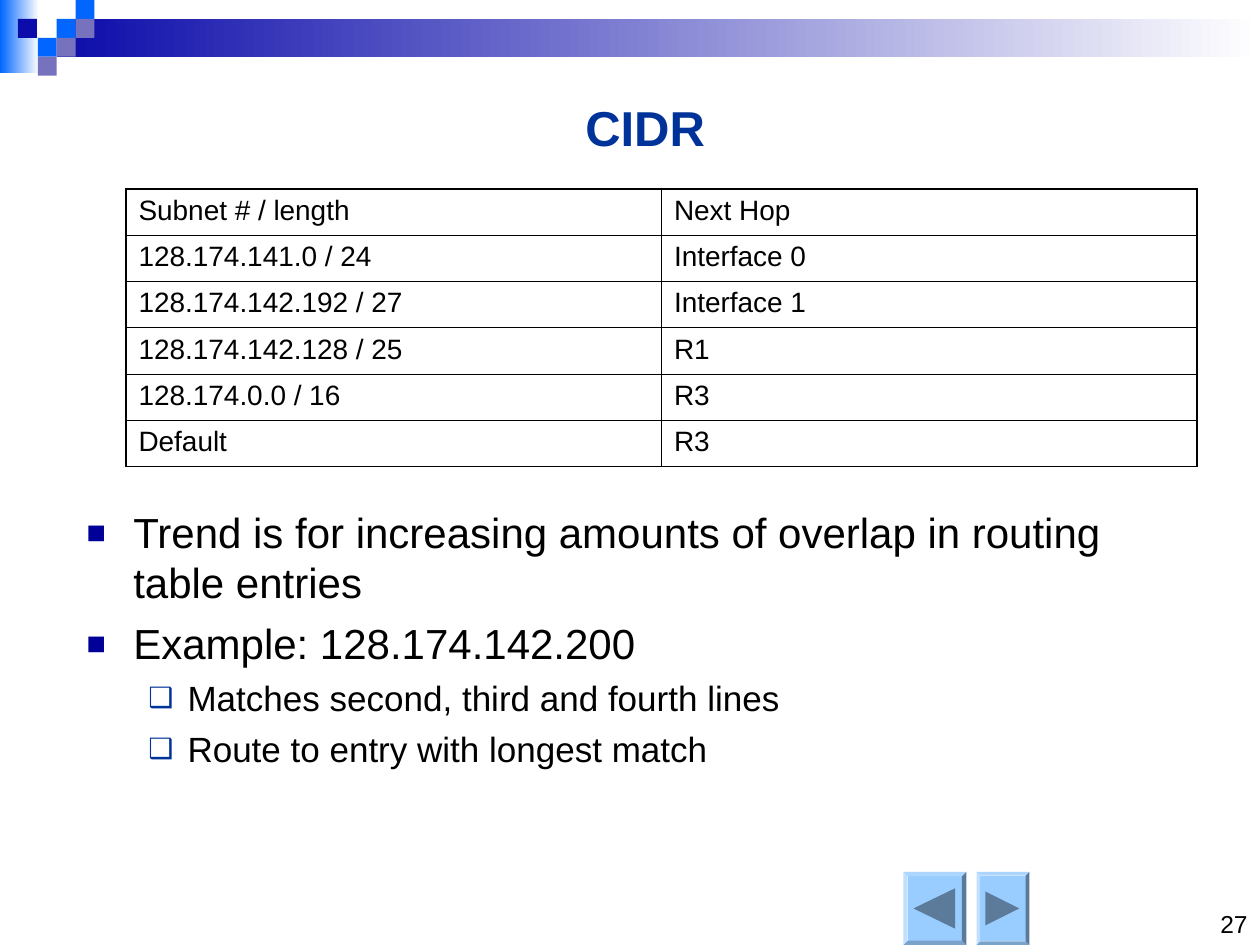
from lxml import etree
from pptx import Presentation
from pptx import util as u
from pptx.dml.color import RGBColor
from pptx.enum import shapes, text
from pptx.oxml.ns import qn

HUE = {"sky": "0066FF", "navy": "0C0CAA", "mauve": "7772BE", "white": "FFFFFF",
       "black": "000000", "title": "003399", "mark": "000099",
       "button": "99CCFF", "arrow": "5C7A99"}
HUE = {name: RGBColor.from_string(code) for name, code in HUE.items()}

deck = Presentation()
deck.slide_width, deck.slide_height = u.Inches(10), u.Inches(7.5)
slide = deck.slides.add_slide(deck.slide_layouts[5])


def block(kind, *box):
    part = slide.shapes.add_shape(kind, *map(u.Inches, box))
    part.shadow.inherit = False
    part.line.fill.background()
    return part


def style(para, size, hue="black", bold=False):
    for run in para.runs:
        run.font.name, run.font.size = "Arial", u.Pt(size)
        run.font.bold, run.font.color.rgb = bold, HUE[hue]


# Banner: two fading bars, then squares on a grid of one step
step = 0.15
rect = shapes.MSO_SHAPE.RECTANGLE
for box, hue in [((0, 0, 0.31, 0.58), "sky"),
                 ((3 * step, step, 10 - 3 * step, 2 * step), "navy")]:
    bar = block(rect, *box)
    bar.fill.gradient()
    bar.fill.gradient_angle = 0
    for stop, name in zip(bar.fill.gradient_stops, (hue, "white")):
        stop.color.rgb = HUE[name]

for col, row, hue in [(3, 1, "sky"), (4, 0, "sky"), (4, 1, "mauve"), (2, 2, "sky"),
                      (0.95, 1, "navy"), (3, 2, "mauve"), (2, 3, "mauve")]:
    tile = block(rect, col * step, row * step, step, step)
    tile.fill.solid()
    tile.fill.fore_color.rgb = HUE[hue]

# Back and next buttons: left, width, then arrow base, tip and half height
for left, wide, base, tip, half in [(7.17, 0.5, 7.58, 7.25, 0.16),
                                    (7.75, 0.42, 7.82, 8.09, 0.135)]:
    key = block(shapes.MSO_SHAPE.BEVEL, left, 6.92, wide, 0.58)
    key.adjustments[0] = 0.07
    pen = slide.shapes.build_freeform(u.Inches(base), u.Inches(7.21 - half))
    pen.add_line_segments([(u.Inches(tip), u.Inches(7.21)),
                           (u.Inches(base), u.Inches(7.21 + half))])
    arrow = pen.convert_to_shape()
    arrow.shadow.inherit = False
    arrow.line.fill.background()
    for part, hue in [(key, "button"), (arrow, "arrow")]:
        part.fill.solid()
        part.fill.fore_color.rgb = HUE[hue]

# Page number
page = slide.shapes.add_textbox(*map(u.Inches, (8.25, 7, 1.75, 0.5))).text_frame
page.word_wrap = True
page.vertical_anchor = text.MSO_ANCHOR.BOTTOM
page.text = "27"
page.paragraphs[0].alignment = text.PP_ALIGN.RIGHT
style(page.paragraphs[0], 14)

# Title
title = slide.shapes.title
title.left, title.top, title.width, title.height = map(u.Inches, (0.58, 0.72, 9.08, 0.57))
head = title.text_frame
head.text = "CIDR"
head.auto_size = text.MSO_AUTO_SIZE.SHAPE_TO_FIT_TEXT
head.vertical_anchor = text.MSO_ANCHOR.MIDDLE
head.paragraphs[0].alignment = text.PP_ALIGN.CENTER
style(head.paragraphs[0], 28, "title", True)

# Bullets: mark, mark hue, mark percent, indent, hang, size, space before
LEVELS = [("▪", "mark", 150, 0.38, 0.38, 24, 6),
          ("❑", "title", 80, 0.81, 0.31, 20, 5)]
POINTS = [(0, "Trend is for increasing amounts of overlap in routing table entries"),
          (0, "Example: 128.174.142.200"),
          (1, "Matches second, third and fourth lines"),
          (1, "Route to entry with longest match")]
body = slide.shapes.add_textbox(*map(u.Inches, (0.58, 3.97, 8.58, 2.78))).text_frame
body.word_wrap = True
for i, (level, line) in enumerate(POINTS):
    mark, hue, share, indent, hang, size, gap = LEVELS[level]
    para = body.add_paragraph() if i else body.paragraphs[0]
    para.text, para.level, para.space_before = line, level, u.Pt(gap)
    style(para, size)
    props = para._p.get_or_add_pPr()
    props.set("marL", str(u.Inches(indent)))
    props.set("indent", str(-u.Inches(hang)))
    tint = etree.SubElement(props, qn("a:buClr"))
    etree.SubElement(tint, qn("a:srgbClr"), val=str(HUE[hue]))
    etree.SubElement(props, qn("a:buSzPct"), val=str(share * 1000))
    etree.SubElement(props, qn("a:buFont"), typeface="Arial")
    etree.SubElement(props, qn("a:buChar"), char=mark)

# Routing table: thick outer frame, thin inner lines
ROUTES = [("Subnet # / length", "Next Hop"),
          ("128.174.141.0 / 24", "Interface 0"),
          ("128.174.142.192 / 27", "Interface 1"),
          ("128.174.142.128 / 25", "R1"),
          ("128.174.0.0 / 16", "R3"),
          ("Default", "R3")]
last = len(ROUTES) - 1
grid = slide.shapes.add_table(len(ROUTES), 2, *map(u.Inches, (1, 1.5, 8.5, 2.2))).table
grid.first_row = grid.horz_banding = False
for r, route in enumerate(ROUTES):
    for c, word in enumerate(route):
        cell = grid.cell(r, c)
        cell.text = word
        para = cell.text_frame.paragraphs[0]
        para.space_before = u.Pt(4)
        style(para, 16)
        props = cell._tc.get_or_add_tcPr()
        for side, outer in [("L", c == 0), ("R", c == 1), ("T", r == 0), ("B", r == last)]:
            edge = etree.SubElement(props, qn("a:ln" + side),
                                    w=str(u.Pt(1.08 if outer else 0.45)))
            ink = etree.SubElement(edge, qn("a:solidFill"))
            etree.SubElement(ink, qn("a:srgbClr"), val=str(HUE["black"]))
        cell.fill.solid()
        cell.fill.fore_color.rgb = HUE["white"]

deck.save("out.pptx")
